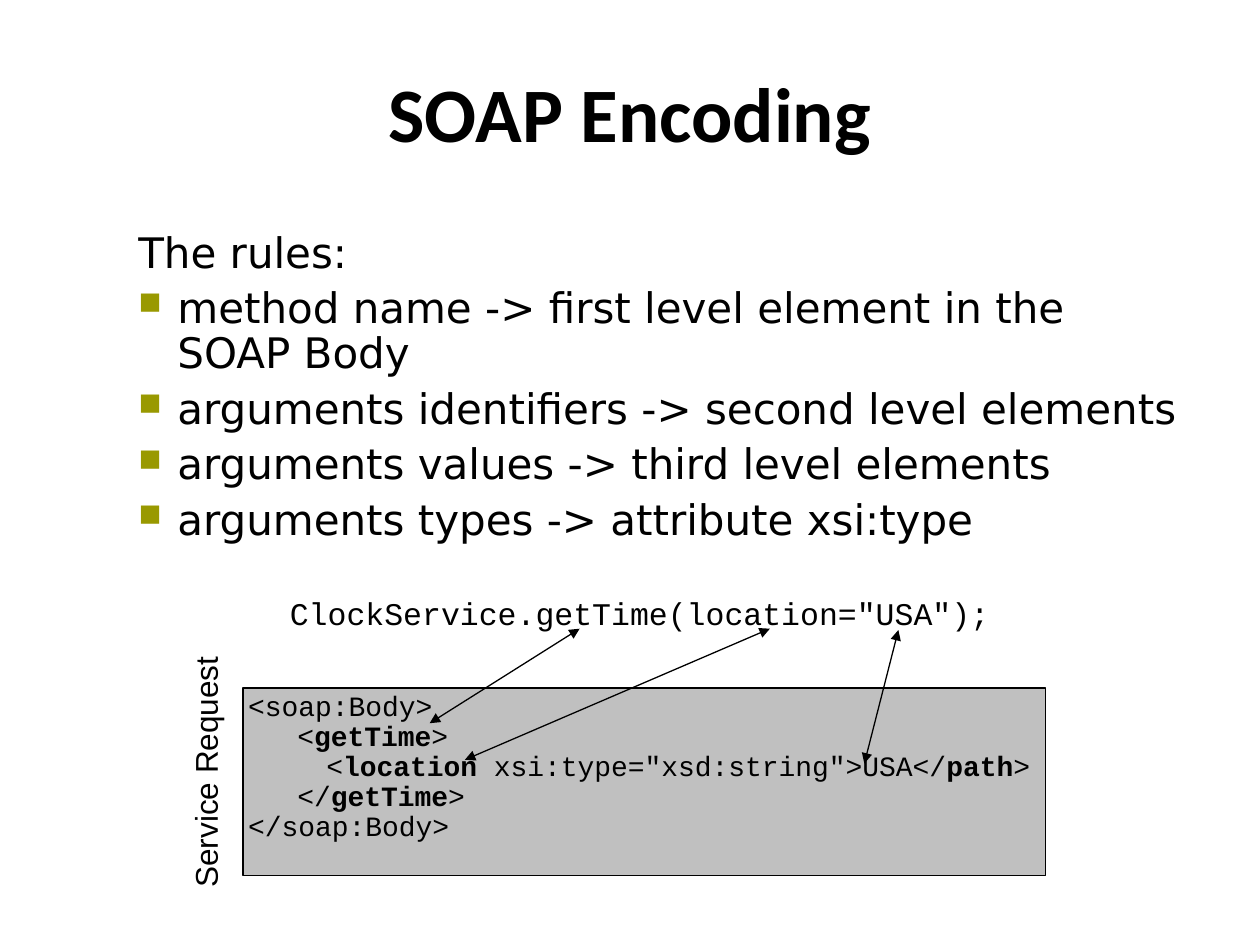
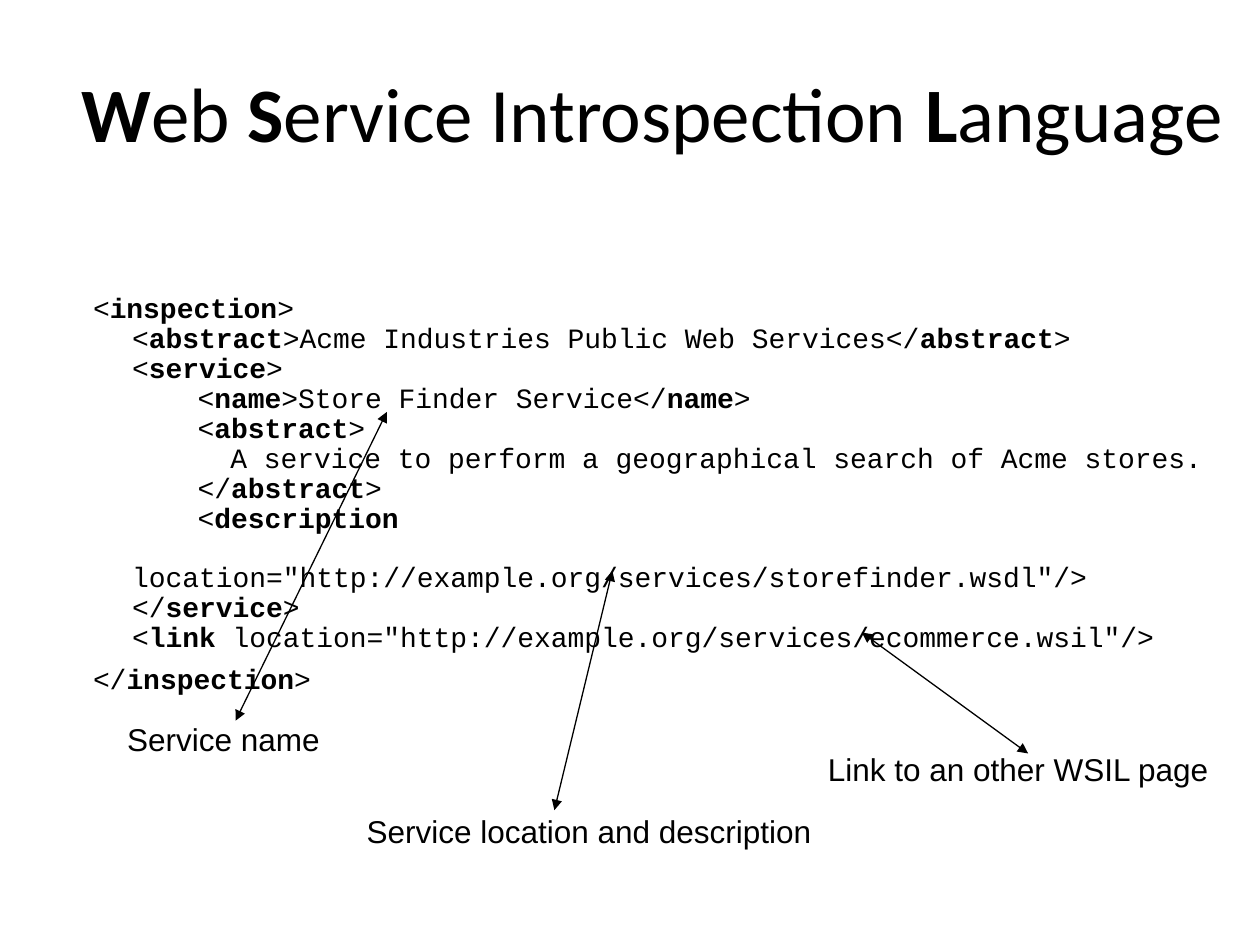
"""Build two slides on SOAP encoding and the Web Service Introspection Language."""
from lxml import etree
from pptx import Presentation
from pptx.dml.color import RGBColor
from pptx.enum.shapes import MSO_CONNECTOR, MSO_SHAPE
from pptx.enum.text import MSO_ANCHOR, PP_ALIGN
from pptx.oxml.ns import qn
from pptx.util import Inches, Pt

STRAIGHT = MSO_CONNECTOR.STRAIGHT
RECTANGLE = MSO_SHAPE.RECTANGLE
TOP, MIDDLE = MSO_ANCHOR.TOP, MSO_ANCHOR.MIDDLE
LEFT, CENTER = PP_ALIGN.LEFT, PP_ALIGN.CENTER

BLACK = RGBColor(0x00, 0x00, 0x00)
GREY = RGBColor(0xC0, 0xC0, 0xC0)
OLIVE = RGBColor(0x99, 0x99, 0x00)

TITLE_FONT = {"name": "Calibri", "size": Pt(44)}
RULE_FONT = {"name": "DejaVu Sans", "size": Pt(24)}
CALL_FONT = {"name": "Courier New", "size": Pt(18)}
CODE_FONT = {"name": "Courier New", "size": Pt(16)}
LABEL_FONT = {"name": "Arial", "size": Pt(18)}

TITLE_FORMAT = {"alignment": CENTER, "line_spacing": 0.95}
INTRO_FORMAT = {"alignment": LEFT}
RULE_FORMAT = {"alignment": LEFT, "line_spacing": 0.9, "space_before": Pt(5.8)}
CODE_FORMAT = {"alignment": LEFT, "line_spacing": 0.89}
LABEL_FORMAT = {"alignment": LEFT, "line_spacing": 0.93}

CODE_STEP = 0.13
RULE_MARGIN, RULE_HANG = 0.81, -0.31

# Asterisks enclose bold words; code lines are (indent, text, points before).
SOAP_TITLE = "*SOAP Encoding*"
RULES_INTRO = "The rules:"
RULES = [
    "method name -> first level element in the SOAP Body",
    "arguments identifiers -> second level elements",
    "arguments values -> third level elements",
    "arguments types -> attribute xsi:type",
]
CALL = 'ClockService.getTime(location="USA");'
REQUEST_CODE = [
    (0, "<soap:Body>", 0),
    (3 * CODE_STEP, "<*getTime*>", 0),
    (0.62, '<*location* xsi:type="xsd:string">USA</*path*>', 0),
    (3 * CODE_STEP, "</*getTime*>", 0),
    (0, "</soap:Body>", 0),
]
SOAP_ARROWS = [
    (3.69, 6.03, 6.11, 4.99),
    (6.86, 6.06, 7.13, 5.0),
    (3.41, 5.74, 4.6, 4.99),
]

WSIL_TITLE = "*W*eb *S*ervice Introspection *L*anguage"
OUTER, INNER = 0.5, 0.81
NESTED = INNER + 4 * CODE_STEP
WSIL_CODE = [
    (OUTER, "<*inspection*>", 0),
    (INNER, "<*abstract*>Acme Industries Public Web Services</*abstract*>", 0),
    (INNER, "<*service*>", 0),
    (NESTED, "<*name*>Store Finder Service</*name*>", 0),
    (NESTED, "<*abstract*>", 0),
    (NESTED + 2 * CODE_STEP,
     "A service to perform a geographical search of Acme stores.", 0),
    (NESTED, "</*abstract*>", 0),
    (NESTED, "<*description*", 0),
    (INNER, 'location="http://example.org/services/storefinder.wsdl"/>', 17.1),
    (INNER, "</*service*>", 0),
    (INNER, '<*link* location="http://example.org/services/ecommerce.wsil"/>', 0),
    (OUTER, "</*inspection*>", 6.8),
]
WSIL_LABELS = [
    ("Service name", (1.01, 5.74, 1.58, 0.28)),
    ("Service location and description", (2.91, 6.47, 4.09, 0.28)),
    ("Link to an other WSIL page", (6.57, 5.98, 3.26, 0.28)),
]
WSIL_ARROWS = [
    (1.87, 5.72, 3.07, 3.27),
    (4.4, 6.43, 4.86, 4.53),
    (8.16, 5.98, 6.84, 5.02),
]


def apply_format(target, values):
    for name, value in values.items():
        setattr(target, name, value)


def prepare_frame(box, inset_x=0, inset_y=0, anchor=TOP):
    frame = box.text_frame
    apply_format(frame, {
        "word_wrap": True, "vertical_anchor": anchor,
        "margin_left": Inches(inset_x), "margin_right": Inches(inset_x),
        "margin_top": Inches(inset_y), "margin_bottom": Inches(inset_y),
    })
    return frame


def add_text_box(page, place, *insets, anchor=TOP):
    box = page.shapes.add_textbox(*map(Inches, place))
    prepare_frame(box, *insets, anchor=anchor)
    return box


def write_para(frame, text, font, layout, margin=0, hang=0):
    para = frame.paragraphs[0]
    if para.runs:
        para = frame.add_paragraph()
    apply_format(para, layout)
    properties = para._p.get_or_add_pPr()
    properties.set("marL", str(Inches(margin)))
    properties.set("indent", str(Inches(hang)))
    for index, part in enumerate(text.split("*")):
        if part:
            span = para.add_run()
            span.text = part
            apply_format(span.font, {**font, "bold": index % 2 == 1})
            span.font.color.rgb = BLACK
    return para


def add_bullet(para):
    properties = para._p.get_or_add_pPr()
    colour = etree.SubElement(properties, qn("a:buClr"))
    etree.SubElement(colour, qn("a:srgbClr"), val=str(OLIVE))
    etree.SubElement(properties, qn("a:buSzPct"), val="75000")
    etree.SubElement(properties, qn("a:buChar"), char="■")


def write_code(frame, lines):
    for indent, text, before in lines:
        layout = {**CODE_FORMAT, "space_before": Pt(before)}
        write_para(frame, text, CODE_FONT, layout, indent)


def add_title(page, text, width):
    box = add_text_box(page, (0.5, 0.3, width, 1.25), anchor=MIDDLE)
    write_para(box.text_frame, text, TITLE_FONT, TITLE_FORMAT)


def add_label(page, text, place, rotation=0):
    box = add_text_box(page, place)
    box.rotation = rotation
    write_para(box.text_frame, text, LABEL_FONT, LABEL_FORMAT)


def add_arrows(page, arrows):
    for ends in arrows:
        arrow = page.shapes.add_connector(STRAIGHT, *map(Inches, ends))
        arrow.line.color.rgb = BLACK
        arrow.line.width = Pt(0.75)
        for end in ("a:headEnd", "a:tailEnd"):
            etree.SubElement(arrow.line._ln, qn(end), type="triangle")
        etree.SubElement(arrow._element.spPr, qn("a:effectLst"))


def build_soap_page(page):
    add_title(page, SOAP_TITLE, 9)
    rules = add_text_box(page, (0.5, 1.75, 9, 2.62), 0.1, 0.05).text_frame
    write_para(rules, RULES_INTRO, RULE_FONT, INTRO_FORMAT, RULE_MARGIN, RULE_HANG)
    for rule in RULES:
        add_bullet(write_para(rules, rule, RULE_FONT, RULE_FORMAT,
                              RULE_MARGIN, RULE_HANG))

    call = add_text_box(page, (2.3, 4.75, 5.65, 0.27))
    write_para(call.text_frame, CALL, CALL_FONT, CODE_FORMAT)

    request = page.shapes.add_shape(
        RECTANGLE, *map(Inches, (1.93, 5.46, 6.37, 1.49)))
    request.shadow.inherit = False
    request.fill.solid()
    request.fill.fore_color.rgb = GREY
    request.line.color.rgb = BLACK
    request.line.width = Pt(0.75)
    write_code(prepare_frame(request, 0.04, 0.04), REQUEST_CODE)

    add_arrows(page, SOAP_ARROWS)
    add_label(page, "Service Request", (0.72, 5.98, 1.85, 0.28), 270)


def build_wsil_page(page):
    add_title(page, WSIL_TITLE, 9.35)
    code = add_text_box(page, (0.14, 2.29, 9.66, 3.04), 0.1, 0.05)
    write_code(code.text_frame, WSIL_CODE)
    for text, place in WSIL_LABELS:
        add_label(page, text, place)
    add_arrows(page, WSIL_ARROWS)


def main():
    deck = Presentation()
    deck.slide_width, deck.slide_height = Inches(10), Inches(7.5)
    for build_page in (build_soap_page, build_wsil_page):
        build_page(deck.slides.add_slide(deck.slide_layouts[6]))
    deck.save("out.pptx")


if __name__ == "__main__":
    main()
